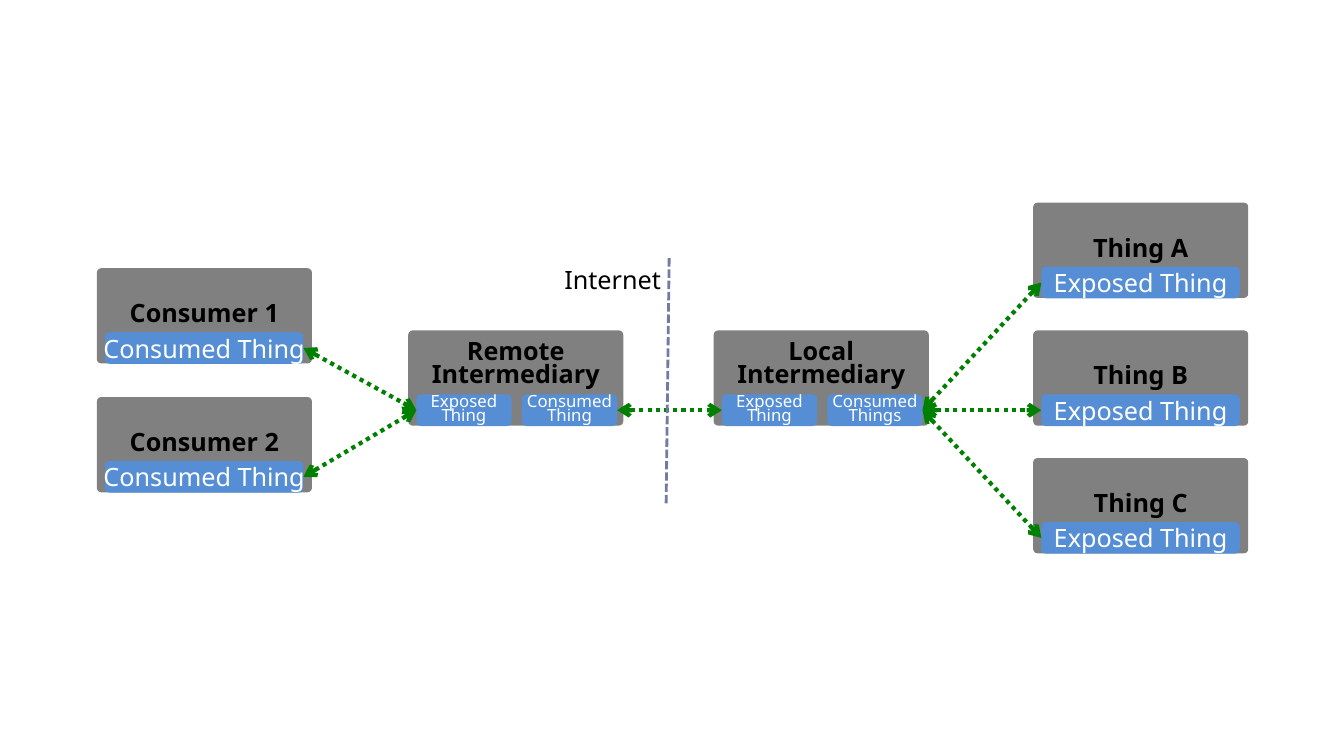
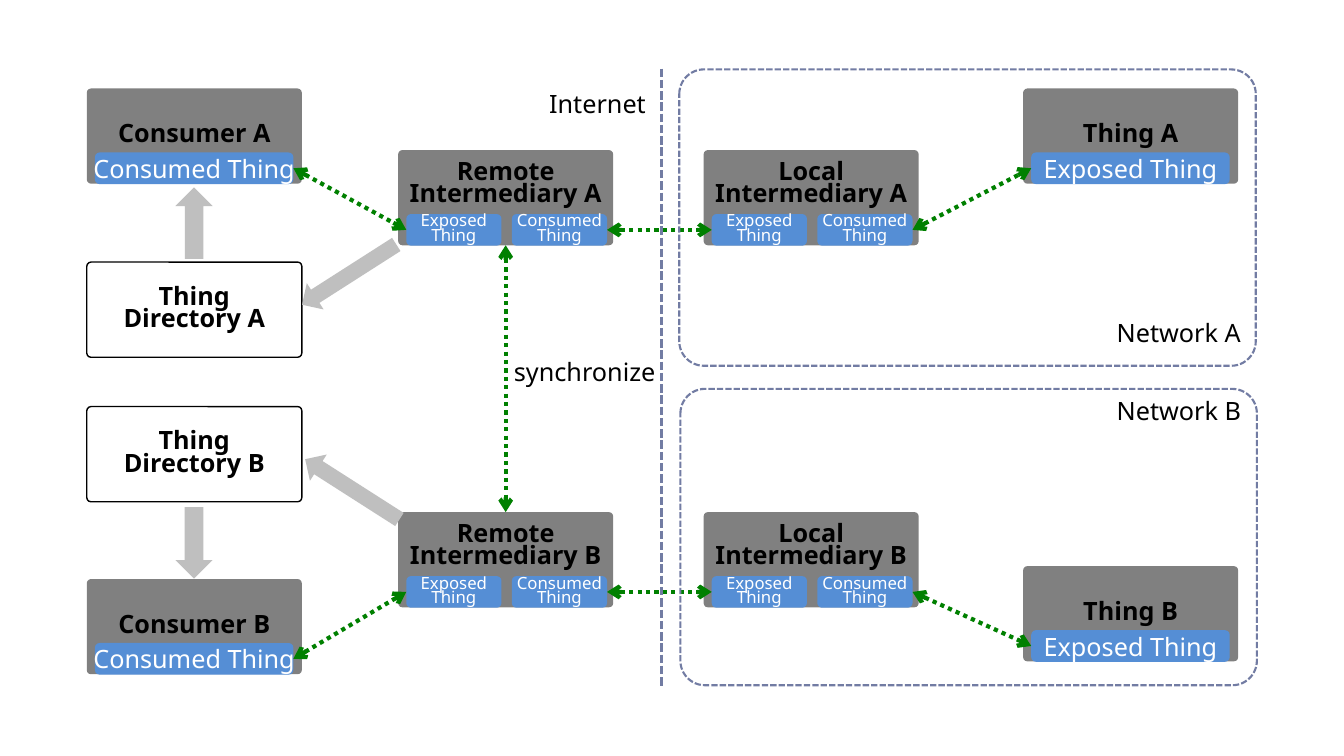
import dataclasses
from typing import Any

import pptx
import pptx.dml.color
import pptx.enum.dml
import pptx.enum.shapes
import pptx.enum.text
import pptx.oxml
import pptx.oxml.ns
import pptx.util
from pptx.util import Pt

COLORS = {
    "card": "808080",
    "pill": "558ED5",
    "link": "008000",
    "border": "727CA3",
    "arrow": "BFBFBF",
    "black": "000000",
    "white": "FFFFFF",
}
FONT = "Noto Sans"
CARD_WIDTH, CARD_HEIGHT = 153.6, 68
PILL_LEFT, PILL_TOP, PILL_HEIGHT = 5.8, 45.7, 22.6
PILL_WIDTH, HALF_PILL_WIDTH, HALF_PILL_STEP = 141.8, 68, 75.4
CONSUMER_X, REMOTE_X, LOCAL_X, THING_X = 62, 284.4, 502.6, 730.8
OVERVIEW_SHIFT = 7.2
TOP, LEFT, BOTTOM, RIGHT = range(4)
PRESET = pptx.enum.shapes.MSO_SHAPE
DASH = pptx.enum.dml.MSO_LINE


@dataclasses.dataclass(frozen=True)
class Card:
    title: str
    left: float
    top: float
    pills: tuple[str, ...] = ()


@dataclasses.dataclass(frozen=True)
class Label:
    text: str
    left: float
    top: float
    width: float


@dataclasses.dataclass(frozen=True)
class BlockArrow:
    left: float
    top: float
    width: float
    height: float
    rotation: float


@dataclasses.dataclass(frozen=True)
class Site:
    name: str
    consumer_top: float
    directory_top: float
    intermediary_top: float
    thing_top: float


@dataclasses.dataclass(frozen=True)
class DrawnCard:
    box: Any
    pills: list[Any]


def rgb(name: str) -> pptx.dml.color.RGBColor:
    return pptx.dml.color.RGBColor.from_string(COLORS[name])


def style_text(box: Any, size: float, color: str, bold: bool = False, spacing: float | None = None,
               centered: bool = True) -> None:
    box.text_frame.word_wrap = False
    for para in box.text_frame.paragraphs:
        if centered:
            para.alignment = pptx.enum.text.PP_ALIGN.CENTER
        if spacing:
            para.line_spacing = spacing
        for span in para.runs:
            span.font.name = FONT
            span.font.size = Pt(size)
            span.font.bold = bold
            span.font.color.rgb = rgb(color)


def add_box(page: Any, preset: Any, left: float, top: float, width: float, height: float,
            fill: str | None, adjust: float) -> Any:
    box = page.shapes.add_shape(preset, Pt(left), Pt(top), Pt(width), Pt(height))
    box.shadow.inherit = False
    box.adjustments[0] = adjust
    box.line.fill.background()
    if fill:
        box.fill.solid()
        box.fill.fore_color.rgb = rgb(fill)
    else:
        box.fill.background()
    return box


def add_pill(page: Any, text: str, left: float, top: float, width: float) -> Any:
    pill = add_box(page, PRESET.ROUNDED_RECTANGLE, left, top, width, PILL_HEIGHT, "pill", 0.15)
    pill.text_frame.text = text
    pill.text_frame.vertical_anchor = pptx.enum.text.MSO_ANCHOR.MIDDLE
    if "\n" in text:
        style_text(pill, 12, "white", spacing=0.7)
    else:
        style_text(pill, 18, "white")
    return pill


def add_card(page: Any, card: Card) -> DrawnCard:
    box = add_box(page, PRESET.ROUNDED_RECTANGLE, card.left, card.top, CARD_WIDTH, CARD_HEIGHT,
                  "card" if card.pills else "white", 0.045)
    if not card.pills:
        box.line.color.rgb = rgb("black")
        box.line.width = Pt(1)
    frame = box.text_frame
    frame.text = card.title
    frame.vertical_anchor = pptx.enum.text.MSO_ANCHOR.MIDDLE
    frame.margin_left = frame.margin_right = frame.margin_top = 0
    frame.margin_bottom = Pt(18.4 if len(card.pills) > 1 else 0)
    style_text(box, 18, "black", bold=True, spacing=0.75)
    width = HALF_PILL_WIDTH if len(card.pills) > 1 else PILL_WIDTH
    pills = [
        add_pill(page, text, card.left + PILL_LEFT + index * HALF_PILL_STEP, card.top + PILL_TOP, width)
        for index, text in enumerate(card.pills)
    ]
    return DrawnCard(box, pills)


def add_intermediary(page: Any, title: str, left: float, top: float, consumed: str = "Thing") -> DrawnCard:
    return add_card(page, Card(title, left, top, ("Exposed\nThing", f"Consumed\n{consumed}")))


def add_line(page: Any, start: tuple[float, float], end: tuple[float, float], color: str,
             width: float, dash: Any) -> Any:
    line = page.shapes.add_connector(pptx.enum.shapes.MSO_CONNECTOR.STRAIGHT,
                                     *(Pt(value) for value in start + end))
    line.line.color.rgb = rgb(color)
    line.line.width = Pt(width)
    line.line.dash_style = dash
    pptx.oxml.xmlchemy.OxmlElement("a:effectLst")
    line._element.spPr.append(pptx.oxml.xmlchemy.OxmlElement("a:effectLst"))
    return line


def add_link(page: Any, source: Any, target: Any, source_side: int = RIGHT, target_side: int = LEFT) -> None:
    link = add_line(page, (0, 0), (0, 0), "link", 3, DASH.ROUND_DOT)
    link.begin_connect(source, source_side)
    link.end_connect(target, target_side)
    outline = link._element.spPr.find(pptx.oxml.ns.qn("a:ln"))
    for tag in ("a:headEnd", "a:tailEnd"):
        tip = pptx.oxml.xmlchemy.OxmlElement(tag)
        tip.set("type", "arrow")
        outline.append(tip)


def add_label(page: Any, label: Label) -> None:
    box = page.shapes.add_textbox(Pt(label.left), Pt(label.top), Pt(label.width), Pt(28.8))
    box.text_frame.text = label.text
    box.text_frame.auto_size = pptx.enum.text.MSO_AUTO_SIZE.SHAPE_TO_FIT_TEXT
    style_text(box, 18, "black", centered=False)


def add_block_arrow(page: Any, arrow: BlockArrow) -> None:
    box = add_box(page, PRESET.DOWN_ARROW, arrow.left, arrow.top, arrow.width, arrow.height, "arrow", 0.5)
    box.rotation = arrow.rotation


def add_network(page: Any, left: float, top: float) -> None:
    network = add_box(page, PRESET.ROUNDED_RECTANGLE, left, top, 411.8, 211.7, None, 0.083)
    network.line.color.rgb = rgb("border")
    network.line.width = Pt(1.5)
    network.line.dash_style = DASH.SQUARE_DOT


def build_overview(page: Any) -> None:
    middle = 236
    remote = add_intermediary(page, "Remote\nIntermediary", REMOTE_X + OVERVIEW_SHIFT, middle)
    local = add_intermediary(page, "Local\nIntermediary", LOCAL_X + OVERVIEW_SHIFT, middle, "Things")
    add_link(page, remote.pills[1], local.pills[0])
    for index, top in enumerate((191.6, 283.6), 1):
        consumer = add_card(page, Card(f"Consumer {index}", CONSUMER_X + OVERVIEW_SHIFT, top,
                                       ("Consumed Thing",)))
        add_link(page, consumer.pills[0], remote.pills[0])
    for index, name in enumerate("ABC"):
        thing = add_card(page, Card(f"Thing {name}", THING_X + OVERVIEW_SHIFT,
                                    middle + (index - 1) * 91.2, ("Exposed Thing",)))
        add_link(page, local.pills[1], thing.pills[0])
    add_line(page, (478, 184.4), (475.8, 360.6), "border", 2, DASH.SQUARE_DOT)
    add_label(page, Label("Internet", 396, 185, 84.2))


def build_site(page: Any, site: Site) -> DrawnCard:
    remote = add_intermediary(page, f"Remote\nIntermediary {site.name}", REMOTE_X, site.intermediary_top)
    local = add_intermediary(page, f"Local\nIntermediary {site.name}", LOCAL_X, site.intermediary_top)
    consumer = add_card(page, Card(f"Consumer {site.name}", CONSUMER_X, site.consumer_top, ("Consumed Thing",)))
    thing = add_card(page, Card(f"Thing {site.name}", THING_X, site.thing_top, ("Exposed Thing",)))
    add_card(page, Card(f"Thing\nDirectory {site.name}", CONSUMER_X, site.directory_top))
    add_link(page, consumer.pills[0], remote.pills[0])
    add_link(page, remote.pills[1], local.pills[0])
    add_link(page, local.pills[1], thing.pills[0])
    return remote


def build_networks(page: Any) -> None:
    sites = (
        Site("A", 63.2, 187.2, 107.2, 63.2),
        Site("B", 413.6, 290.4, 365.8, 404.4),
    )
    arrows = (
        BlockArrow(238.3, 156.2, 22.3, 79.9, 57.4),
        BlockArrow(125.3, 133.9, 26.6, 51.1, 180),
        BlockArrow(240.5, 309.6, 22.3, 79.9, 122.6),
        BlockArrow(125.3, 362.2, 26.6, 51.1, 0),
    )
    labels = (
        Label("Internet", 385.2, 59.8, 84.2),
        Label("synchronize", 360, 251.3, 116.6),
        Label("Network A", 790.6, 223.2, 103.7),
        Label("Network B", 790.6, 278.6, 103.7),
    )
    remotes = [build_site(page, site) for site in sites]
    add_link(page, remotes[0].box, remotes[1].box, BOTTOM, TOP)
    for arrow in arrows:
        add_block_arrow(page, arrow)
    add_line(page, (472.4, 49), (472.4, 491), "border", 2, DASH.SQUARE_DOT)
    add_network(page, 485.2, 49.6)
    add_network(page, 486, 277.8)
    for label in labels:
        add_label(page, label)


def main() -> None:
    deck = pptx.Presentation()
    deck.slide_width, deck.slide_height = Pt(960), Pt(540)
    for build in (build_overview, build_networks):
        build(deck.slides.add_slide(deck.slide_layouts[6]))
    deck.save("out.pptx")


if __name__ == "__main__":
    main()
